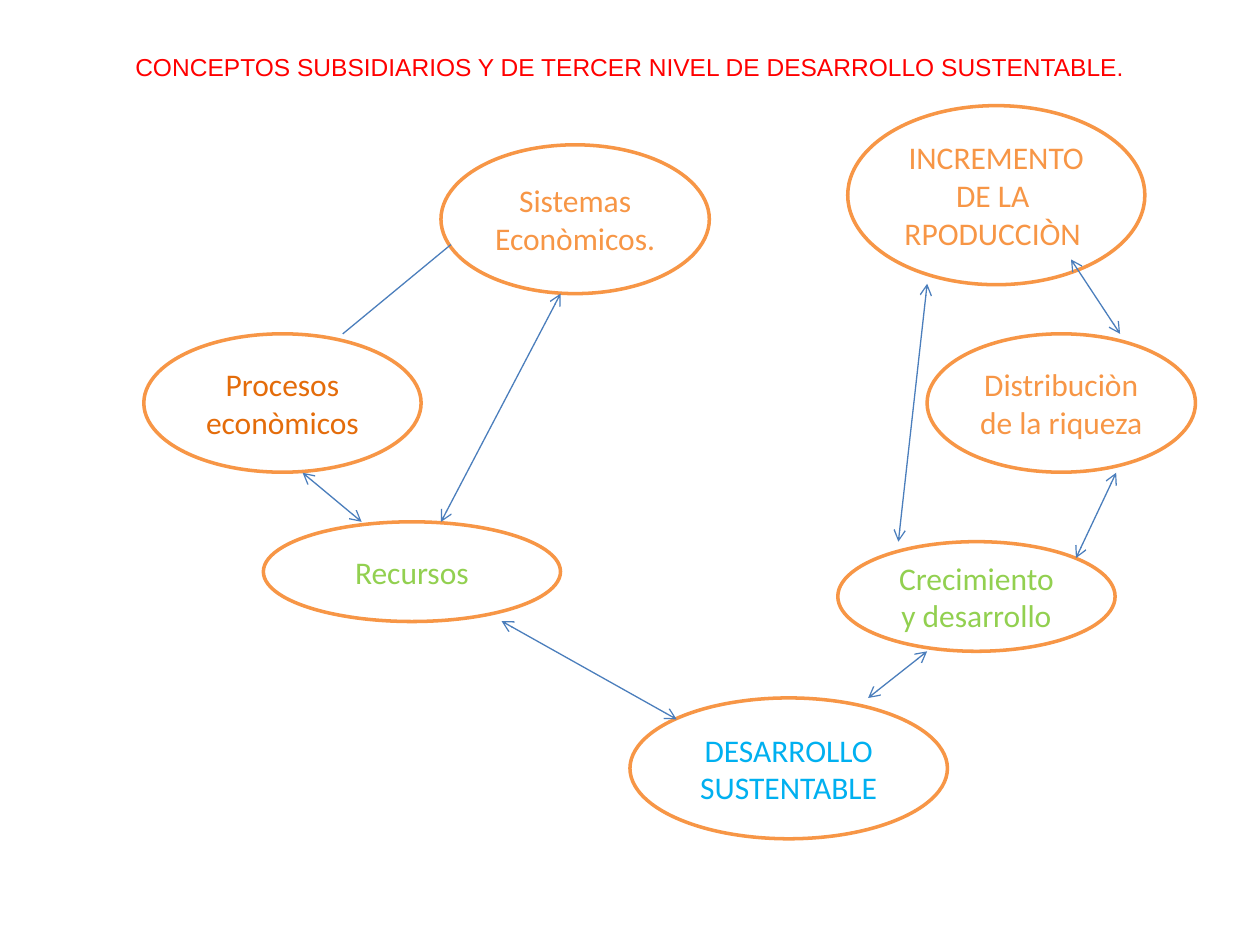
from lxml.etree import SubElement
from pptx import Presentation
from pptx.dml.color import RGBColor
from pptx.enum.shapes import MSO_CONNECTOR, MSO_SHAPE
from pptx.enum.text import MSO_ANCHOR, PP_ALIGN
from pptx.oxml.ns import qn
from pptx.util import Cm, Pt

COLORS = {
    "title": "FF0000",
    "white": "FFFFFF",
    "orange": "F79646",
    "dark_orange": "E46C0A",
    "green": "92D050",
    "cyan": "00B0F0",
    "link": "4B7EBC",
}

CONCEPTS = [
    ("Sistemas\nEconòmicos. ", "orange", (8.89, 2.92, 5.41, 3)),
    ("Procesos\neconòmicos", "dark_orange", (2.9, 6.73, 5.59, 2.79)),
    ("Recursos", "green", (5.31, 10.52, 5.99, 2.01)),
    ("DESARROLLO\nSUSTENTABLE", "cyan", (12.7, 14.07, 6.4, 2.84)),
    ("Crecimiento y desarrollo", "green", (16.89, 10.92, 5.59, 2.21)),
    ("Distribuciòn de la riqueza", "orange", (18.69, 6.73, 5.41, 2.79)),
    ("INCREMENTO\nDE LA \nRPODUCCIÒN ", "orange", (17.09, 2.13, 5.99, 3.61)),
]

ARROWS = [
    (6.1, 9.53, 7.29, 10.52),
    (8.89, 10.52, 11.3, 5.92),
    (10.11, 12.52, 13.64, 14.5),
    (17.5, 14.07, 18.69, 13.13),
    (21.69, 11.25, 22.5, 9.53),
    (18.69, 5.72, 18.11, 10.92),
    (21.59, 5.23, 22.58, 6.73),
]


def color(name):
    return RGBColor.from_string(COLORS[name])


def write_text(shape, text, font, size, color_name):
    frame = shape.text_frame
    frame.text = text
    frame.word_wrap = True
    frame.vertical_anchor = MSO_ANCHOR.MIDDLE
    for para in frame.paragraphs:
        para.alignment = PP_ALIGN.CENTER
        for span in para.runs:
            span.font.name = font
            span.font.size = Pt(size)
            span.font.color.rgb = color(color_name)


def add_title(page, text):
    title = page.shapes.title
    title.left, title.top, title.width, title.height = map(Cm, (1.27, 0.76, 22.86, 1.17))
    write_text(title, text, "Arial", 14, "title")


def add_concept(page, text, color_name, bounds):
    ellipse = page.shapes.add_shape(MSO_SHAPE.OVAL, *map(Cm, bounds))
    ellipse.shadow.inherit = False
    ellipse.fill.solid()
    ellipse.fill.fore_color.rgb = color("white")
    ellipse.line.color.rgb = color("orange")
    ellipse.line.width = Pt(2)
    write_text(ellipse, text, "Calibri", 18, color_name)


def add_link(page, ends, arrows=True):
    link = page.shapes.add_connector(MSO_CONNECTOR.STRAIGHT, *map(Cm, ends))
    link.line.color.rgb = color("link")
    link.line.width = Pt(0.75)
    if arrows:
        outline = link.line._get_or_add_ln()
        for end in ("a:headEnd", "a:tailEnd"):
            SubElement(outline, qn(end), type="arrow")
    SubElement(link._element.spPr, qn("a:effectLst"))


def main():
    deck = Presentation()
    deck.slide_width, deck.slide_height = Cm(25.4), Cm(19.05)
    page = deck.slides.add_slide(deck.slide_layouts[5])
    add_title(page, "CONCEPTOS SUBSIDIARIOS Y DE TERCER NIVEL DE DESARROLLO SUSTENTABLE.")
    for concept in CONCEPTS:
        add_concept(page, *concept)
    add_link(page, (6.91, 6.73, 9.09, 4.93), arrows=False)
    for ends in ARROWS:
        add_link(page, ends)
    deck.save("out.pptx")


main()
